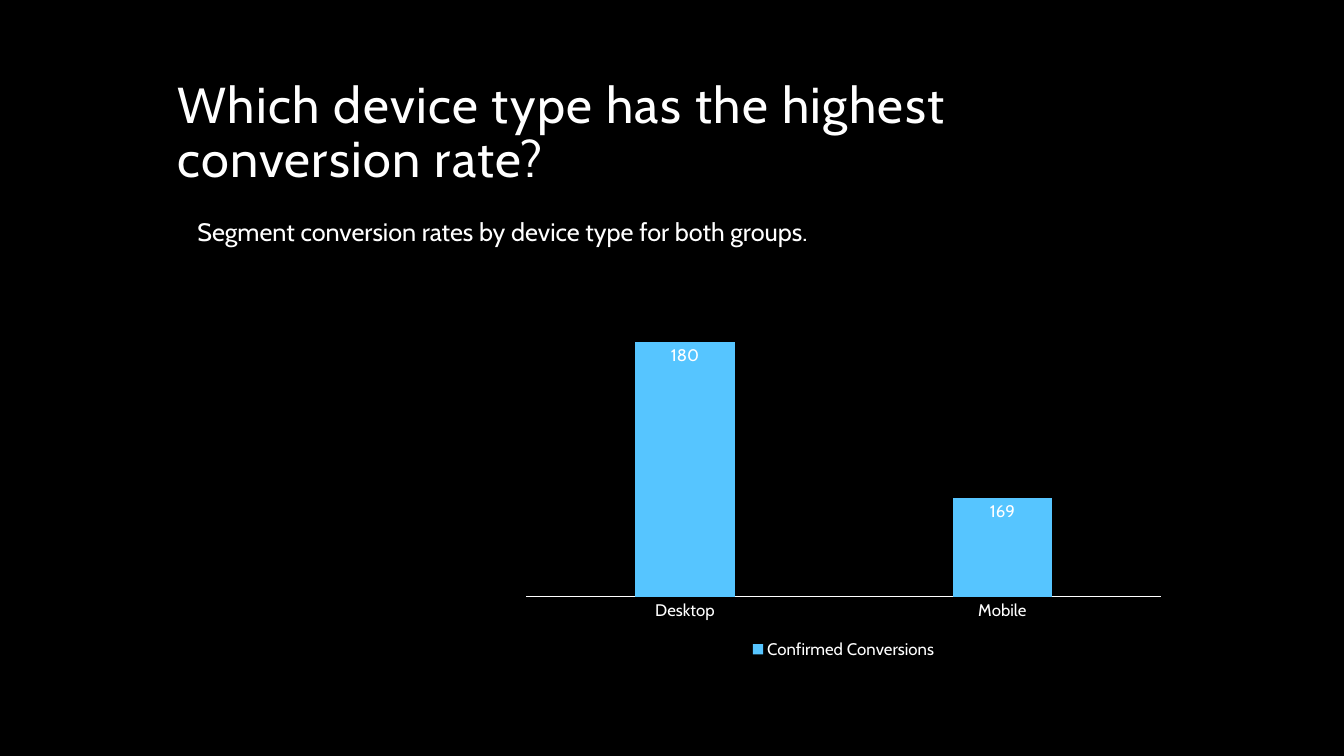
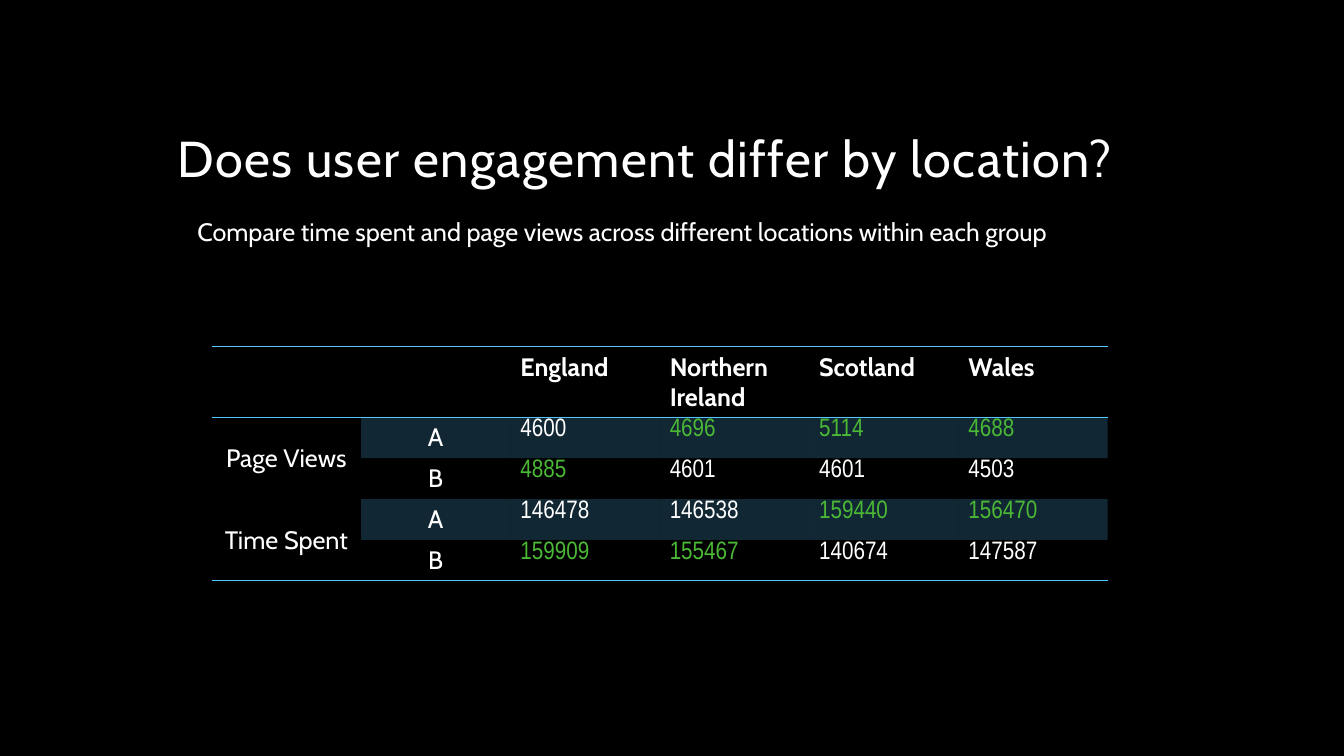
from dataclasses import dataclass
from typing import NamedTuple

from lxml.etree import SubElement
from pptx import Presentation
from pptx.chart.data import CategoryChartData as Data
from pptx.dml.color import RGBColor as RGB
from pptx.enum.chart import XL_CHART_TYPE as Kind
from pptx.enum.chart import XL_LABEL_POSITION as Spot
from pptx.enum.chart import XL_LEGEND_POSITION as Side
from pptx.enum.chart import XL_TICK_MARK as Tick
from pptx.enum.text import MSO_ANCHOR as Anchor
from pptx.enum.text import MSO_AUTO_SIZE as Fit
from pptx.enum.text import PP_ALIGN as Align
from pptx.oxml import parse_xml
from pptx.oxml.ns import nsdecls, qn
from pptx.presentation import Presentation as Deck
from pptx.slide import Slide
from pptx.table import _Cell as Cell
from pptx.util import Pt


@dataclass(frozen=True)
class Theme:
    back: RGB = RGB(0, 0, 0)
    text: RGB = RGB(0xFF, 0xFF, 0xFF)
    blue: RGB = RGB(0x56, 0xC5, 0xFF)
    green: RGB = RGB(0x4B, 0xB8, 0x36)
    font: str = "Cabin"
    narrow: str = "Arial Narrow"
    title: float = 36
    body: float = 18
    label: float = 12
    small: float = 10


class Box(NamedTuple):
    left: float
    top: float
    width: float
    height: float

    def points(self) -> tuple:
        return tuple(Pt(side) for side in self)


class Group(NamedTuple):
    """One measure with its values for test groups A and B."""
    name: str
    a: list[int]
    b: list[int]


THEME = Theme()
TITLE = Box(119.5, 30.25, 720, 108)
LEAD = Box(133.9, 151.2, 692, 28.8)
CHART = Box(366.5, 218.9, 472.3, 254.9)
TABLE = Box(151.2, 247.7, 640.08, 167.2)
HEAD, ROW = 50.4, 29.2
PLAIN = "{2D5ABB26-0587-4C30-8999-92F81FD0307C}"
PLACES = ["England", "Northern Ireland", "Scotland", "Wales"]
GROUPS = [
    Group("Page Views", [4600, 4696, 5114, 4688], [4885, 4601, 4601, 4503]),
    Group("Time Spent", [146478, 146538, 159440, 156470],
          [159909, 155467, 140674, 147587]),
]


def style(font, size: float, color: RGB = THEME.text,
          face: str = THEME.font, bold: bool = False) -> None:
    font.size, font.name, font.bold = Pt(size), face, bold
    font.color.rgb = color


def start(deck: Deck, title: str, lead: str) -> Slide:
    """Add a slide with its title and lead line."""
    slide = deck.slides.add_slide(deck.slide_layouts[5])
    head = slide.shapes.title
    head.left, head.top, head.width, head.height = TITLE.points()
    frame = head.text_frame
    frame.text = title
    frame.auto_size, frame.word_wrap = Fit.NONE, True
    frame.vertical_anchor = Anchor.BOTTOM
    para = frame.paragraphs[0]
    para.alignment, para.line_spacing = Align.LEFT, 0.9
    run = para.runs[0]
    style(run.font, THEME.title)
    run._r.get_or_add_rPr().set("spc", "100")

    frame = slide.shapes.add_textbox(*LEAD.points()).text_frame
    frame.text = lead
    frame.word_wrap, frame.auto_size = True, Fit.SHAPE_TO_FIT_TEXT
    style(frame.paragraphs[0].runs[0].font, THEME.body)
    return slide


def plot(slide: Slide) -> None:
    data = Data()
    data.categories = ["Desktop", "Mobile"]
    data.add_series("Confirmed Conversions", [180, 169])
    chart = slide.shapes.add_chart(
        Kind.COLUMN_CLUSTERED, *CHART.points(), data).chart
    style(chart.font, THEME.small)
    chart.has_title = False
    chart.has_legend = True
    chart.legend.position = Side.BOTTOM
    chart.legend.include_in_layout = False
    style(chart.legend.font, THEME.label)

    axis = chart.category_axis
    axis.major_tick_mark = axis.minor_tick_mark = Tick.NONE
    style(axis.tick_labels.font, THEME.label)
    axis.format.line.width = Pt(0.75)
    axis.format.line.color.rgb = THEME.text
    scale = chart.value_axis
    scale.minimum_scale, scale.maximum_scale = 162, 182
    scale.has_major_gridlines = scale.visible = False

    bars = chart.plots[0]
    bars.gap_width, bars.overlap = 219, -27
    bars.vary_by_categories = False
    fill = bars.series[0].format.fill
    fill.solid()
    fill.fore_color.rgb = THEME.blue
    bars.has_data_labels = True
    labels = bars.data_labels
    labels.show_value, labels.position = True, Spot.INSIDE_END
    style(labels.font, THEME.label)


def write(cell: Cell, text: str, align: Align = Align.LEFT, **look) -> None:
    cell.text = text
    para = cell.text_frame.paragraphs[0]
    para.alignment = align
    style(para.runs[0].font, THEME.body, **look)


def tint(cell: Cell) -> None:
    """Fill a cell with see-through blue."""
    cell.fill.solid()
    cell.fill.fore_color.rgb = THEME.blue
    color = cell._tc.tcPr.find(qn("a:solidFill"))[0]
    SubElement(color, qn("a:alpha"), val="20000")


def rule(cell: Cell, *sides: str) -> None:
    """Draw blue borders; sides are T and B, in that order."""
    props = cell._tc.get_or_add_tcPr()
    for spot, side in enumerate(sides):
        props.insert(spot, parse_xml(
            f'<a:ln{side} {nsdecls("a")} w="12700"><a:solidFill>'
            f'<a:srgbClr val="{THEME.blue}"/></a:solidFill></a:ln{side}>'))


def grid(slide: Slide) -> None:
    rows, cols = 1 + 2 * len(GROUPS), 2 + len(PLACES)
    frame = slide.shapes.add_table(rows, cols, *TABLE.points())
    frame.element.find(".//" + qn("a:tableStyleId")).text = PLAIN
    table = frame.table
    table.first_row = table.horz_banding = False
    for col in table.columns:
        col.width = Pt(TABLE.width / cols)
    for num, row in enumerate(table.rows):
        row.height = Pt(ROW if num else HEAD)
    for cell in table.iter_cells():
        cell.fill.background()

    for col, place in enumerate(PLACES, 2):
        write(table.cell(0, col), place, bold=True)
    for num, group in enumerate(GROUPS):
        top = 1 + 2 * num
        name = table.cell(top, 0)
        name.merge(table.cell(top + 1, 0))
        write(name, group.name, Align.CENTER)
        name.vertical_anchor = Anchor.MIDDLE
        best = [max(pair) for pair in zip(group.a, group.b)]
        for row, (mark, vals) in enumerate(
                [("A", group.a), ("B", group.b)], top):
            write(table.cell(row, 1), mark, Align.CENTER)
            for col, (val, peak) in enumerate(zip(vals, best), 2):
                cell = table.cell(row, col)
                write(cell, str(val), face=THEME.narrow,
                      color=THEME.green if val == peak else THEME.text)
                cell.margin_top = Pt(0.75)
        for col in range(1, cols):
            tint(table.cell(top, col))

    for col in range(cols):
        rule(table.cell(0, col), "T", "B")
        rule(table.cell(rows - 1, col), "B")
    rule(table.cell(rows - 2, 0), "B")


def main() -> None:
    deck = Presentation()
    deck.slide_width, deck.slide_height = Pt(960), Pt(540)
    fill = deck.slide_master.background.fill
    fill.solid()
    fill.fore_color.rgb = THEME.back
    plot(start(deck, "Which device type has the highest conversion rate?",
               "Segment conversion rates by device type for both groups."))
    grid(start(deck, "Does user engagement differ by location?",
               "Compare time spent and page views across different "
               "locations within each group"))
    deck.save("out.pptx")


if __name__ == "__main__":
    main()
